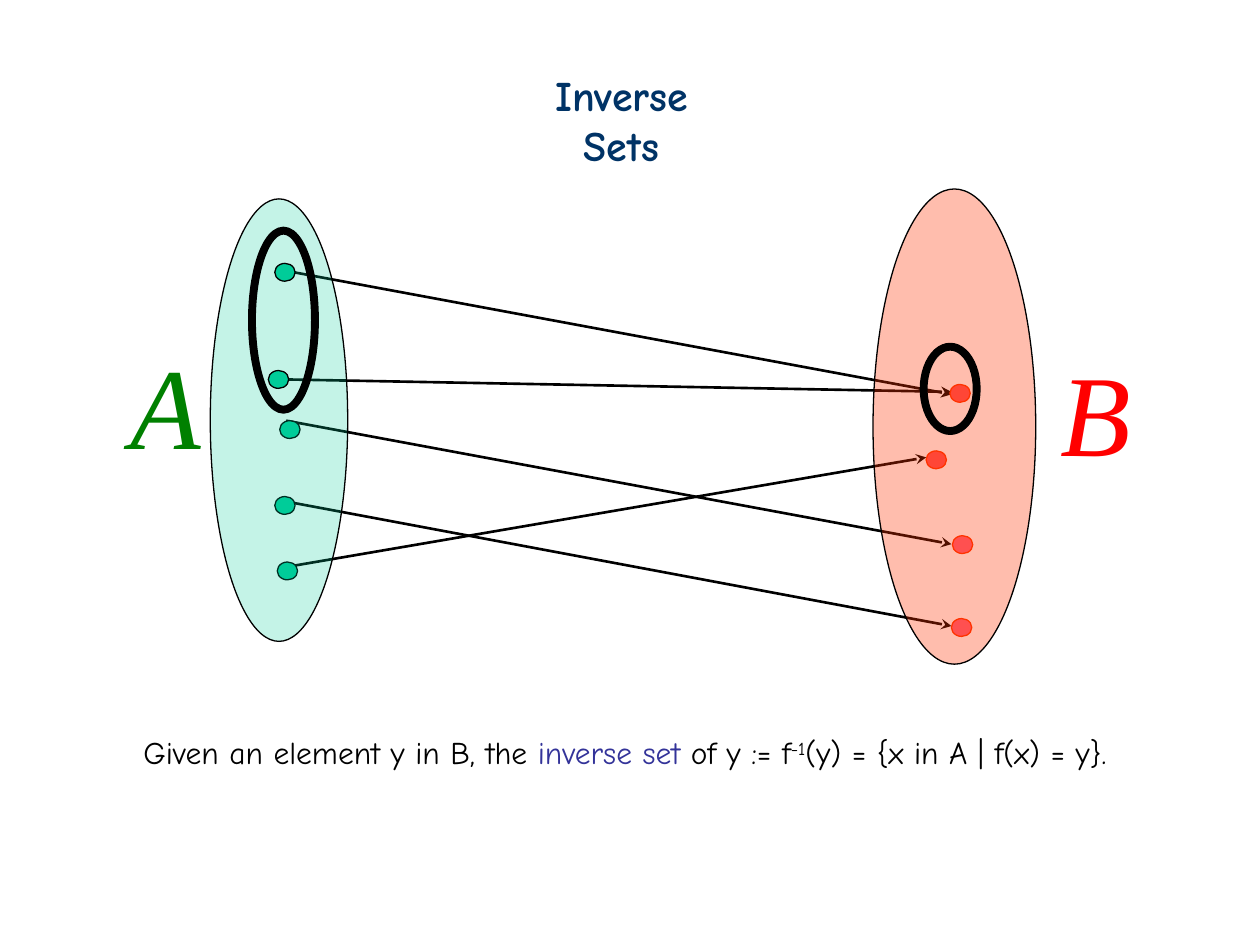
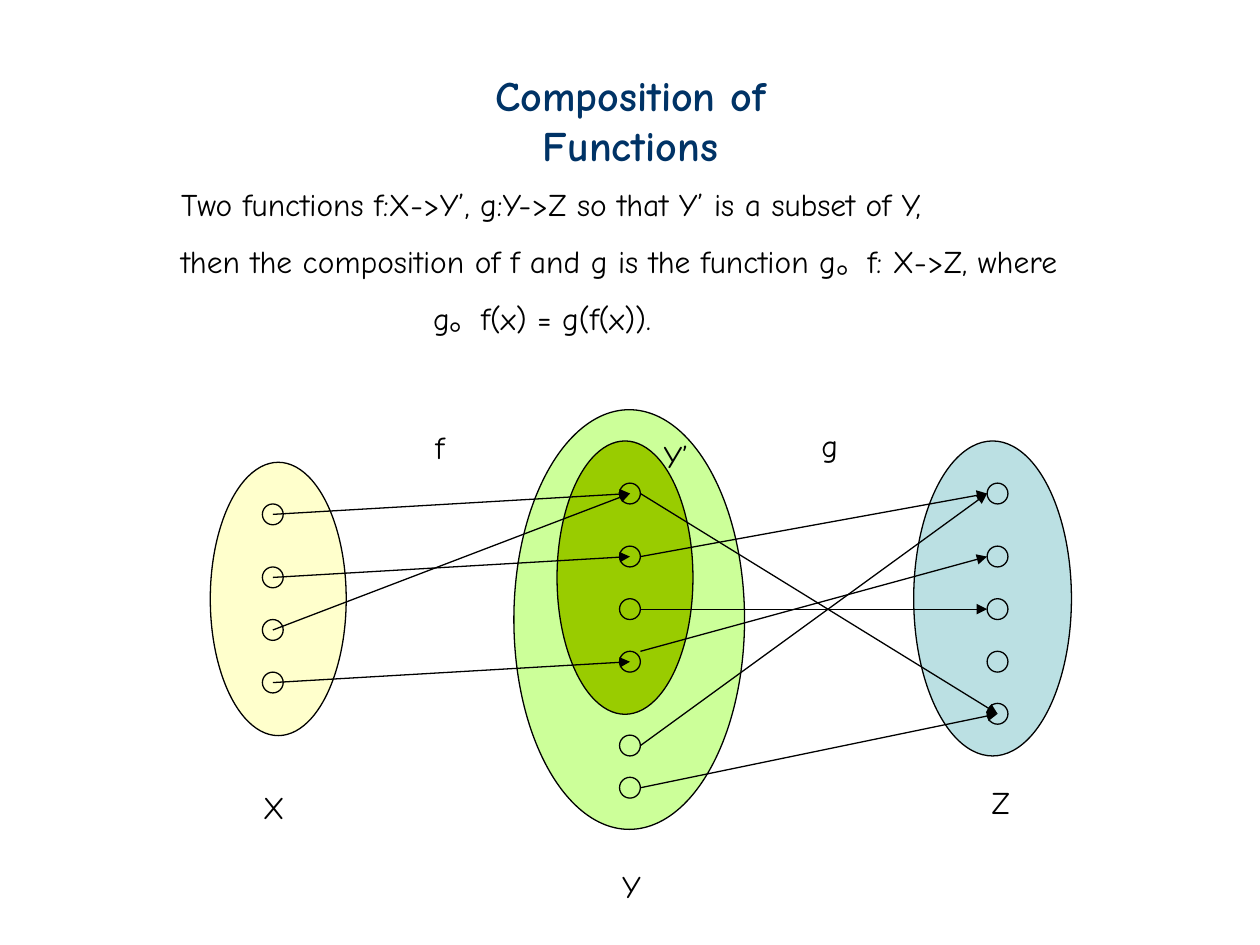
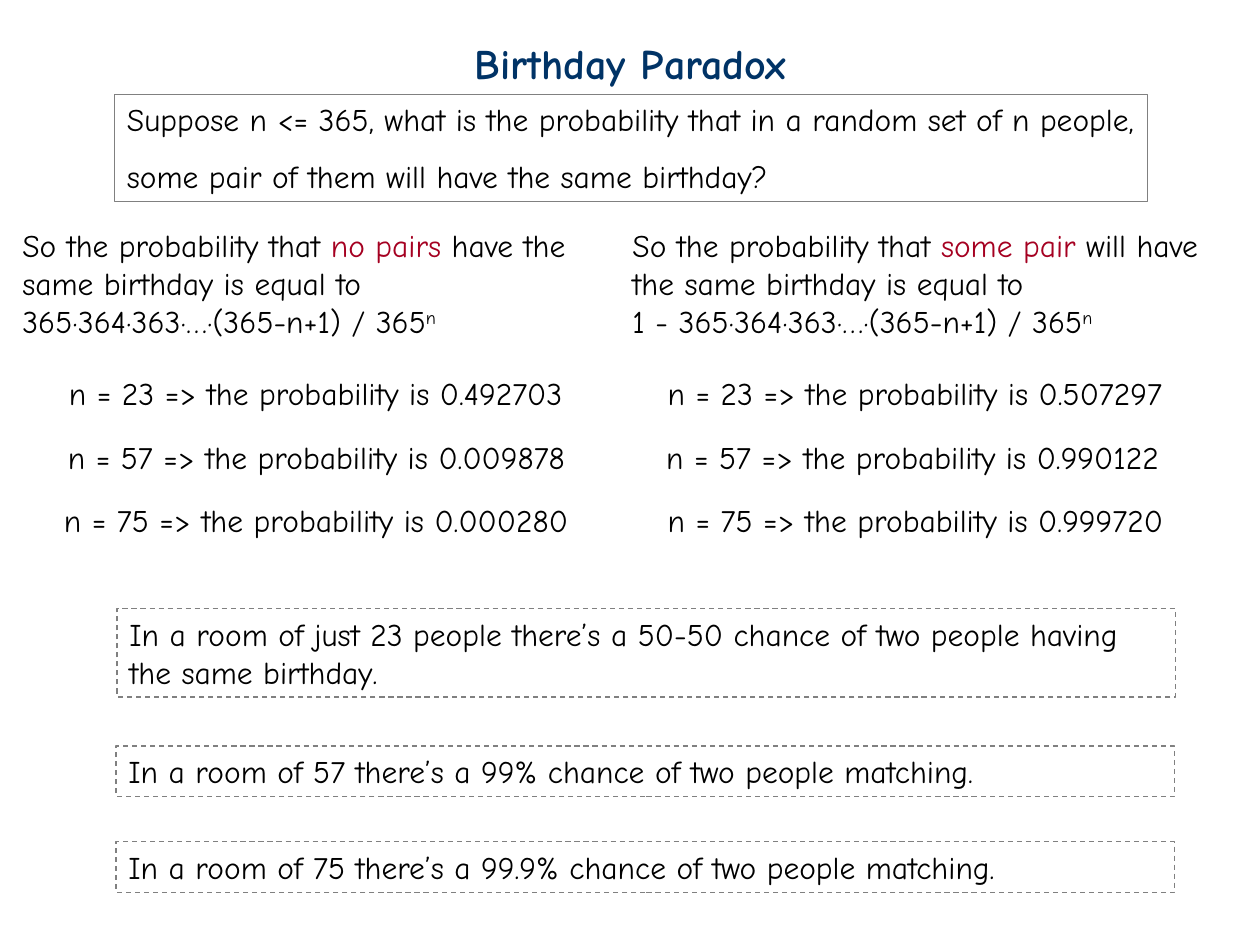
from dataclasses import dataclass

from lxml import etree
from pptx import Presentation
from pptx.dml.color import RGBColor
from pptx.enum.dml import MSO_LINE
from pptx.enum.shapes import MSO_CONNECTOR, MSO_SHAPE
from pptx.enum.text import MSO_ANCHOR, MSO_AUTO_SIZE, PP_ALIGN
from pptx.oxml.ns import qn
from pptx.util import Cm, Pt

ELLIPSE = MSO_SHAPE.OVAL
RECTANGLE = MSO_SHAPE.RECTANGLE
STRAIGHT = MSO_CONNECTOR.STRAIGHT
DASH = MSO_LINE.DASH
TOP = MSO_ANCHOR.TOP
NO_FIT = MSO_AUTO_SIZE.NONE
LEFT = PP_ALIGN.LEFT
CENTER = PP_ALIGN.CENTER

BLACK = RGBColor(0x00, 0x00, 0x00)
NAVY = RGBColor(0x00, 0x33, 0x66)
INDIGO = RGBColor(0x33, 0x33, 0x99)
CRIMSON = RGBColor(0xA5, 0x00, 0x21)
GRAY = RGBColor(0x80, 0x80, 0x80)
TEAL = RGBColor(0x00, 0xCC, 0x99)
GREEN = RGBColor(0x00, 0x80, 0x00)
RED = RGBColor(0xFF, 0x00, 0x00)
CORAL = RGBColor(0xFF, 0x50, 0x50)
ORANGE = RGBColor(0xFF, 0x33, 0x00)
LIME = RGBColor(0xCC, 0xFF, 0x99)
OLIVE = RGBColor(0x99, 0xCC, 0x00)
CREAM = RGBColor(0xFF, 0xFF, 0xCC)
PALE_BLUE = RGBColor(0xBB, 0xE0, 0xE3)

BODY_FONT = "Comic Neue"
LETTER_FONT = "Times New Roman"
TITLE_ONLY = 5
LINE_HEIGHT = 1.02


@dataclass
class Span:
    text: str
    color: RGBColor = BLACK
    raised: bool = False


class Deck:
    def __init__(self):
        self.prs = Presentation()
        self.prs.slide_width = Cm(25.4)
        self.prs.slide_height = Cm(19.05)
        self.s = None

    def slide(self, title, left, top, width):
        self.s = self.prs.slides.add_slide(self.prs.slide_layouts[TITLE_ONLY])
        sp = self.s.shapes.title
        sp.left, sp.top, sp.width, sp.height = Cm(left), Cm(top), Cm(width), Cm(1.27)
        self.fill_text(sp.text_frame, [[Span(title, NAVY)]], size=24, bold=True, align=CENTER)

    def fill_text(self, tf, paragraphs, wrap=False, spacing=1.0, size=18, font=BODY_FONT,
                  bold=False, italic=False, align=LEFT):
        tf.word_wrap = wrap
        tf.auto_size = NO_FIT
        tf.vertical_anchor = TOP
        for i, spans in enumerate(paragraphs):
            p = tf.add_paragraph() if i else tf.paragraphs[0]
            p.alignment = align
            if i:
                p.line_spacing = spacing
            for span in spans:
                r = p.add_run()
                r.text = span.text
                r.font.name = font
                r.font.size = Pt(size)
                r.font.bold = bold
                r.font.italic = italic
                r.font.color.rgb = span.color
                if span.raised:
                    r._r.get_or_add_rPr().set("baseline", "30000")

    def text(self, left, top, width, height, paragraphs, **style):
        sp = self.s.shapes.add_textbox(Cm(left), Cm(top), Cm(width), Cm(height))
        self.fill_text(sp.text_frame, paragraphs, **style)
        return sp

    def label(self, left, top, width, text):
        self.text(left, top, width, LINE_HEIGHT, [[Span(text)]])

    def set_letter(self, left, top, letter, color):
        self.text(left, top, 1.93, 3.05, [[Span(letter, color)]],
                  size=66, font=LETTER_FONT, italic=True)

    def shape(self, kind, left, top, width, height, fill=None, line=BLACK, weight=0.75):
        sp = self.s.shapes.add_shape(kind, Cm(left), Cm(top), Cm(width), Cm(height))
        sp.shadow.inherit = False
        if fill is None:
            sp.fill.background()
        else:
            sp.fill.solid()
            sp.fill.fore_color.rgb = fill
        sp.line.color.rgb = line
        sp.line.width = Pt(weight)
        return sp

    def ellipse(self, left, top, width, height, fill=None, opacity=None, **style):
        sp = self.shape(ELLIPSE, left, top, width, height, fill, **style)
        if opacity is not None:
            color = sp._element.spPr.find(qn("a:solidFill"))[0]
            etree.SubElement(color, qn("a:alpha")).set("val", str(opacity * 1000))

    def box(self, left, top, width, height, paragraphs, dashed=False, **style):
        sp = self.shape(RECTANGLE, left, top, width, height, line=GRAY)
        if dashed:
            sp.line.dash_style = DASH
        self.fill_text(sp.text_frame, paragraphs, **style)

    def arrow(self, x1, y1, x2, y2, head="triangle", weight=0.75):
        c = self.s.shapes.add_connector(STRAIGHT, Cm(x1), Cm(y1), Cm(x2), Cm(y2))
        c.line.color.rgb = BLACK
        c.line.width = Pt(weight)
        ln = c._element.spPr.find(qn("a:ln"))
        etree.SubElement(ln, qn("a:tailEnd")).set("type", head)
        etree.SubElement(c._element.spPr, qn("a:effectLst"))


def inverse_sets(deck):
    deck.slide("Inverse Sets", 10.03, 1.27, 5)

    def dots(places, fill, line):
        for left, top in places:
            deck.ellipse(left, top, 0.41, 0.36, fill, line=line)

    for x1, y1, x2, y2 in [
        (5.77, 5.46, 19.18, 7.95),
        (5.82, 7.65, 19.18, 7.9),
        (5.77, 8.48, 19.18, 10.97),
        (5.77, 10.11, 19.18, 12.62),
        (5.77, 11.43, 18.67, 9.22),
    ]:
        deck.arrow(x1, y1, x2, y2, head="stealth", weight=1.5)

    dots([(5.64, 8.48), (5.54, 10.01), (5.59, 11.33)], TEAL, BLACK)
    deck.ellipse(4.24, 4.01, 2.77, 8.92, TEAL, opacity=23)
    dots([(18.67, 9.09), (19.15, 7.75)], CORAL, ORANGE)
    deck.ellipse(17.6, 3.81, 3.28, 9.58, ORANGE, opacity=32)
    dots([(19.2, 10.8), (19.18, 12.47)], CORAL, ORANGE)
    deck.set_letter(2.39, 6.6, "A", GREEN)
    deck.set_letter(21.13, 6.76, "B", RED)
    dots([(5.54, 5.31), (5.41, 7.47)], TEAL, BLACK)

    deck.text(2.64, 14.66, 19.94, LINE_HEIGHT, [[
        Span("Given an element y in B, the "),
        Span("inverse set", INDIGO),
        Span(" of y := f"),
        Span("-1", raised=True),
        Span("(y) = {x in A | f(x) = y}."),
    ]])
    deck.ellipse(18.62, 6.99, 1.07, 1.7, weight=4.5)
    deck.ellipse(5.08, 4.65, 1.27, 3.61, weight=4.5)


def composition(deck):
    deck.slide("Composition of Functions", 7.82, 1.27, 9.78)
    definition = deck.text(3.4, 3.61, 18.49, 3.3, [
        [Span("Two functions f:X->Y’, g:Y->Z so that Y’ is a subset of Y,")],
        [Span("then the composition of f and g is the function g。f: X->Z, where")],
        [Span("g。f(x) = g(f(x)).")],
    ], spacing=1.5)
    formula = definition.text_frame.paragraphs[-1]
    formula._p.get_or_add_pPr().set("marL", str(Cm(5.08)))

    deck.ellipse(10.36, 8.26, 4.65, 8.46, LIME)
    deck.ellipse(4.24, 9.32, 2.74, 5.51, CREAM)
    deck.ellipse(11.23, 8.89, 2.74, 5.51, OLIVE)
    deck.ellipse(18.42, 8.89, 3.18, 6.35, PALE_BLUE)

    radius = 0.21
    x_col, y_col, z_col = 5.5, 12.7, 20.11
    x_rows = [10.37, 11.64, 12.7, 13.76]
    y_rows = [9.95, 11.22, 12.28, 13.34, 15.03, 15.88]
    z_rows = [9.95, 11.22, 12.28, 13.34, 14.39]
    for col, rows in [(x_col, x_rows), (y_col, y_rows), (z_col, z_rows)]:
        for row in rows:
            deck.ellipse(col - radius, row - radius, 2 * radius, 2 * radius)

    for x, y in [(0, 0), (1, 1), (2, 0), (3, 3)]:
        deck.arrow(x_col, x_rows[x], y_col, y_rows[y])
    for y, z, lift, gap in [
        (0, 4, 0, 0),
        (1, 0, 0, radius),
        (2, 2, 0, radius),
        (3, 1, radius, radius),
        (4, 0, 0, radius),
        (5, 4, 0, 0),
    ]:
        deck.arrow(y_col + radius, y_rows[y] - lift, z_col - gap, z_rows[z])

    for left, top, width, name in [
        (5.05, 15.77, 0.94, "X"),
        (12.29, 17.35, 0.89, "Y"),
        (19.74, 15.67, 0.86, "Z"),
        (13.13, 8.69, 0.99, "Y’"),
        (8.53, 8.51, 0.69, "f"),
        (16.31, 8.46, 0.84, "g"),
    ]:
        deck.label(left, top, width, name)


def birthday_paradox(deck):
    deck.slide("Birthday Paradox", 9.3, 0.63, 6.81)
    deck.box(2.31, 1.9, 20.83, 2.16, [
        [Span("Suppose n <= 365, what is the probability that in a random set of n people,")],
        [Span("some pair of them will have the same birthday?")],
    ], spacing=1.5)

    for left, width, event, rest, prefix in [
        (0.2, 12.07, "no pairs", " have the same birthday is equal to", ""),
        (12.5, 12.27, "some pair ", "will have the same birthday is equal to", "1 - "),
    ]:
        deck.text(left, 4.44, width, 2.54, [
            [Span("So the probability that "), Span(event, CRIMSON), Span(rest)],
            [Span(prefix + "365·364·363·…·(365-n+1) / 365"), Span("n", raised=True)],
        ], wrap=True)

    results = [
        (23, (1.14, 10.67, "0.492703"), (13.21, 10.69, "0.507297")),
        (57, (1.12, 10.74, "0.009878"), (13.18, 10.44, "0.990122")),
        (75, (1.04, 10.9, "0.000280"), (13.21, 10.49, "0.999720")),
    ]
    for i, (n, *columns) in enumerate(results):
        for left, width, value in columns:
            deck.label(left, 7.42 + 1.28 * i, width, f"n = {n} => the probability is {value}")

    for left, top, height, conclusion in [
        (2.36, 12.27, 1.78, "In a room of just 23 people there’s a 50-50 chance "
                            "of two people having the same birthday."),
        (2.34, 15.04, LINE_HEIGHT, "In a room of 57 there’s a 99% chance of two people matching."),
        (2.34, 16.97, LINE_HEIGHT, "In a room of 75 there’s a 99.9% chance of two people matching."),
    ]:
        deck.box(left, top, 21.34, height, [[Span(conclusion)]], dashed=True, wrap=True)


def main():
    deck = Deck()
    inverse_sets(deck)
    composition(deck)
    birthday_paradox(deck)
    deck.prs.save("out.pptx")


if __name__ == "__main__":
    main()
